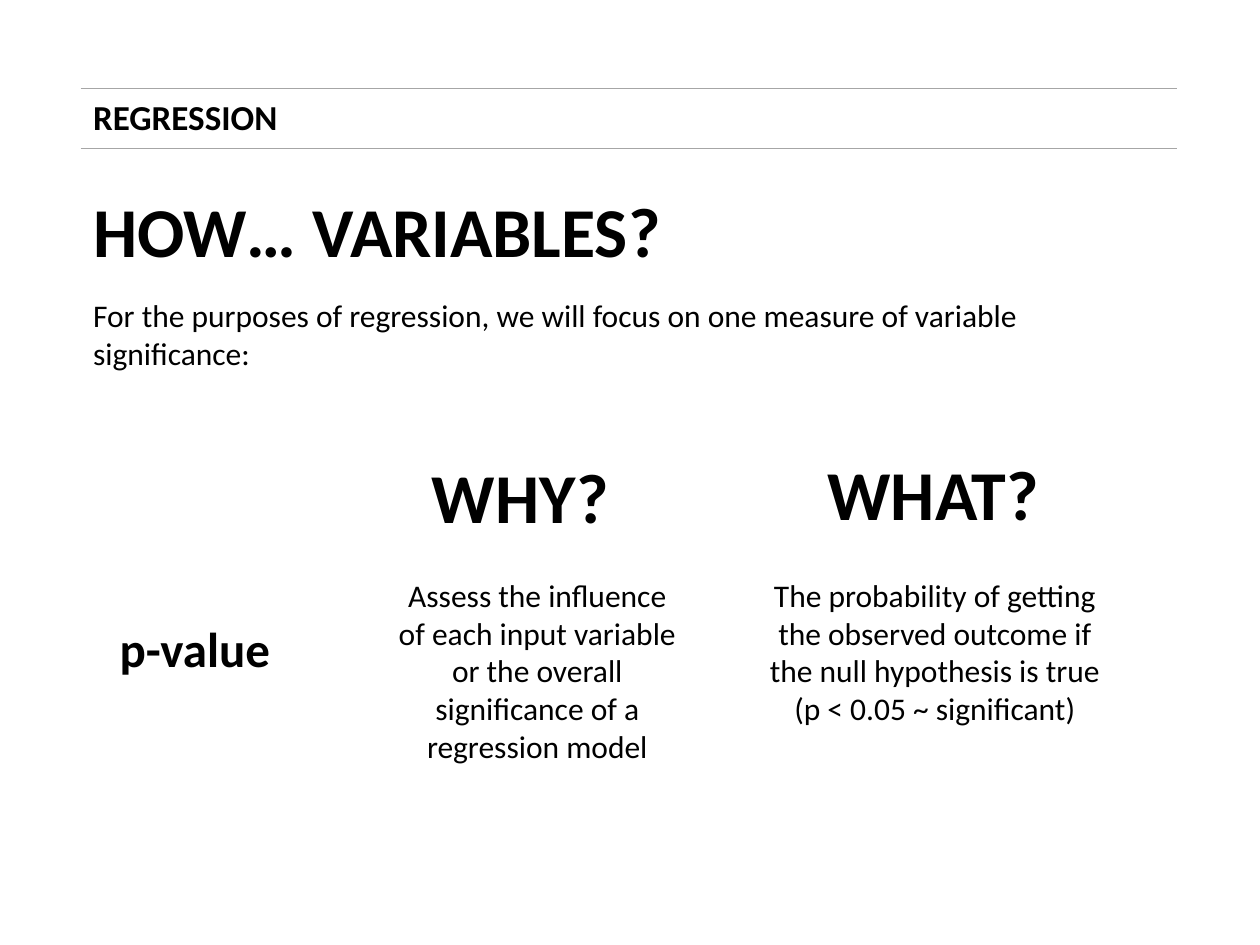
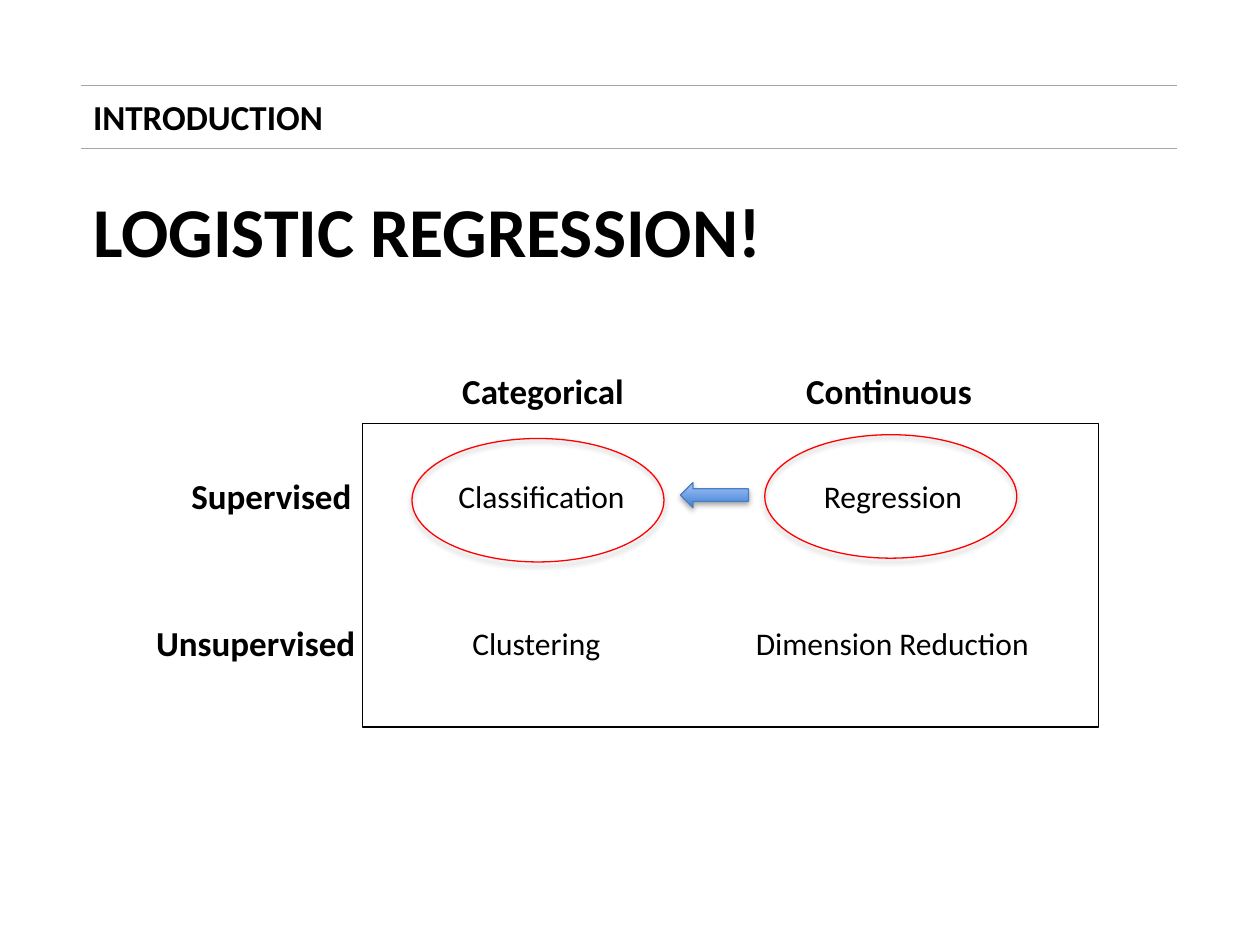
from lxml.etree import SubElement
from pptx import Presentation
from pptx.dml.color import RGBColor
from pptx.enum.shapes import MSO_CONNECTOR, MSO_SHAPE
from pptx.enum.text import MSO_AUTO_SIZE, PP_ALIGN
from pptx.oxml.ns import qn
from pptx.util import Pt

PX = 9144
FONT = "Calibri"
BLACK = RGBColor(0x00, 0x00, 0x00)
RULE_GRAY = RGBColor(0xA6, 0xA6, 0xA6)
RED = RGBColor(0xFF, 0x00, 0x00)
ARROW_EDGE = RGBColor(0x4B, 0x7E, 0xBC)
ARROW_DARK = RGBColor(0x3F, 0x80, 0xCE)
ARROW_LIGHT = RGBColor(0xA4, 0xC4, 0xFF)
TITLE, TERM, LABEL, BODY = 40, 28, 20, 18


def px(*lengths):
    """Turn lengths in px into EMU."""
    return [length * PX for length in lengths]


def add_text(slide, box, paragraphs, size, centred=False, wrap=False):
    """Write paragraphs in a text box; everything above body size is bold."""
    frame = slide.shapes.add_textbox(*px(*box)).text_frame
    frame.word_wrap = wrap
    frame.auto_size = MSO_AUTO_SIZE.SHAPE_TO_FIT_TEXT
    for index, words in enumerate(paragraphs):
        paragraph = frame.paragraphs[0] if index == 0 else frame.add_paragraph()
        paragraph.alignment = PP_ALIGN.CENTER if centred else PP_ALIGN.LEFT
        run = paragraph.add_run()
        run.text = words
        run.font.name = FONT
        run.font.size = Pt(size)
        run.font.bold = size > BODY
        run.font.color.rgb = BLACK


def add_outline(slide, preset, box, color, shadowed=False):
    """Draw an unfilled preset shape, with a soft shadow below it if asked."""
    outline = slide.shapes.add_shape(preset, *px(*box))
    outline.fill.background()
    outline.line.color.rgb = color
    outline.line.width = Pt(0.75)
    outline.shadow.inherit = False
    if shadowed:
        effects = outline.element.spPr.find(qn("a:effectLst"))
        shadow = SubElement(effects, qn("a:outerShdw"), blurRad="40000",
                            dist="23000", dir="5400000", rotWithShape="0")
        shade = SubElement(shadow, qn("a:srgbClr"), val=str(BLACK))
        SubElement(shade, qn("a:alpha"), val="35000")
    return outline


def add_header(slide, box, section, section_width, title, title_width):
    """Place the section name between two rules, with the title below."""
    left, top, width, height = box
    for y in (top, top + height):
        rule = slide.shapes.add_connector(
            MSO_CONNECTOR.STRAIGHT, *px(left, y, left + width, y))
        rule.line.color.rgb = RULE_GRAY
        rule.line.width = Pt(0.75)
        SubElement(rule.element.spPr, qn("a:effectLst"))
    bottom = top + height
    add_text(slide, (left, bottom - 47, section_width, 44), [section], LABEL)
    add_text(slide, (left, bottom + 26, title_width, 77), [title], TITLE)


def add_measure(slide, box):
    """Explain the p-value in a why and a what column."""
    left, top, width, height = box
    add_text(slide, box, ["For the purposes of regression, we will focus on one "
                          "measure of variable significance:"], BODY, wrap=True)
    add_text(slide, (left + 21, top + 256, 141, 57), ["p-value"], TERM)
    columns = [
        ("WHY?", (269, 125, 161, 77), (229, 222, 267, 162),
         ["Assess the influence", "of each input variable or the overall "
          "significance of a regression model"]),
        ("WHAT?", (583, 123, 190, 77), (536, 222, 284, 131),
         ["The probability of getting the observed outcome if the null "
          "hypothesis is true (p < 0.05 ~ significant)"]),
    ]
    for question, (qx, qy, *q_size), (ax, ay, *a_size), answer in columns:
        add_text(slide, (left + qx, top + qy, *q_size), [question], TITLE)
        add_text(slide, (left + ax, top + ay, *a_size), answer, BODY,
                 centred=True, wrap=True)


def add_matrix(slide, box):
    """Lay out the learning types and mark the step between two of them."""
    left, top, width, height = box
    add_outline(slide, MSO_SHAPE.RECTANGLE, box, BLACK)
    labels = [("Supervised", -146, 36, 149), ("Unsupervised", -174, 152, 180),
              ("Categorical", 69, -48, 149), ("Continuous", 342, -48, 153)]
    methods = [("Classification", 66, 38, 154), ("Regression", 356, 38, 131),
               ("Clustering", 77, 154, 123),
               ("Dimension Reduction", 302, 154, 240)]
    for entries, size, line_height in ((labels, LABEL, 44), (methods, BODY, 40)):
        for words, x, y, entry_width in entries:
            add_text(slide, (left + x, top + y, entry_width, line_height),
                     [words], size)
    for x, y in ((39, 12), (319, 9)):
        add_outline(slide, MSO_SHAPE.OVAL, (left + x, top + y, 200, 98),
                    RED, shadowed=True)
    step = add_outline(slide, MSO_SHAPE.LEFT_ARROW,
                       (left + 252, top + 47, 54, 20), ARROW_EDGE, shadowed=True)
    step.fill.gradient()
    step.fill.gradient_angle = 90
    for stop, color in zip(step.fill.gradient_stops, (ARROW_DARK, ARROW_LIGHT)):
        stop.color.rgb = color


def main():
    """Build both slides and save the presentation."""
    deck = Presentation()
    deck.slide_width, deck.slide_height = px(1000, 750)
    blank = deck.slide_layouts[6]

    variables = deck.slides.add_slide(blank)
    add_header(variables, (64, 70, 870, 48), "REGRESSION", 168,
               "HOW… VARIABLES?", 488)
    add_measure(variables, (64, 230, 859, 343))

    logistic = deck.slides.add_slide(blank)
    add_header(logistic, (64, 68, 870, 50), "INTRODUCTION", 204,
               "LOGISTIC REGRESSION!", 555)
    add_matrix(logistic, (288, 336, 584, 241))

    deck.save("out.pptx")


if __name__ == "__main__":
    main()
